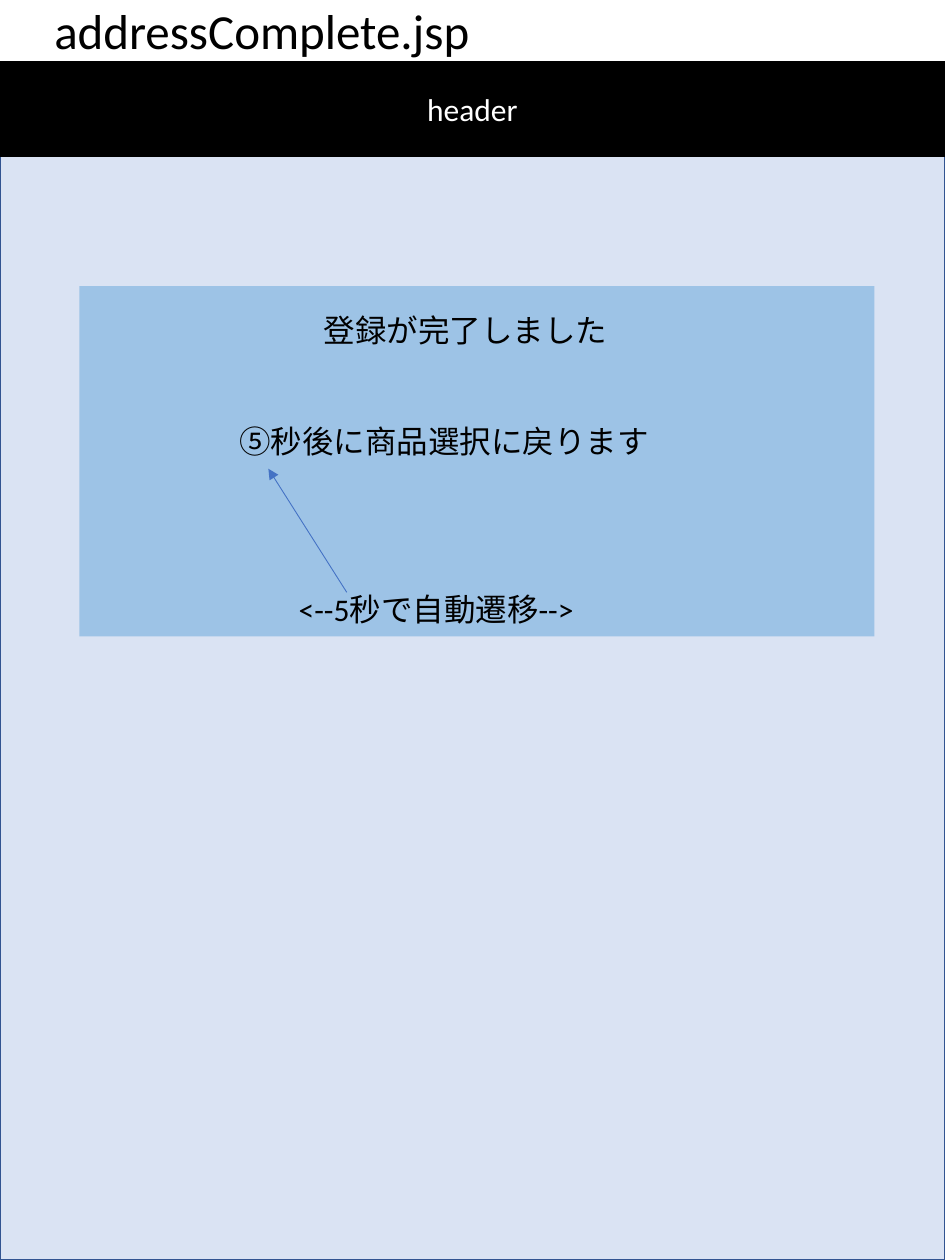
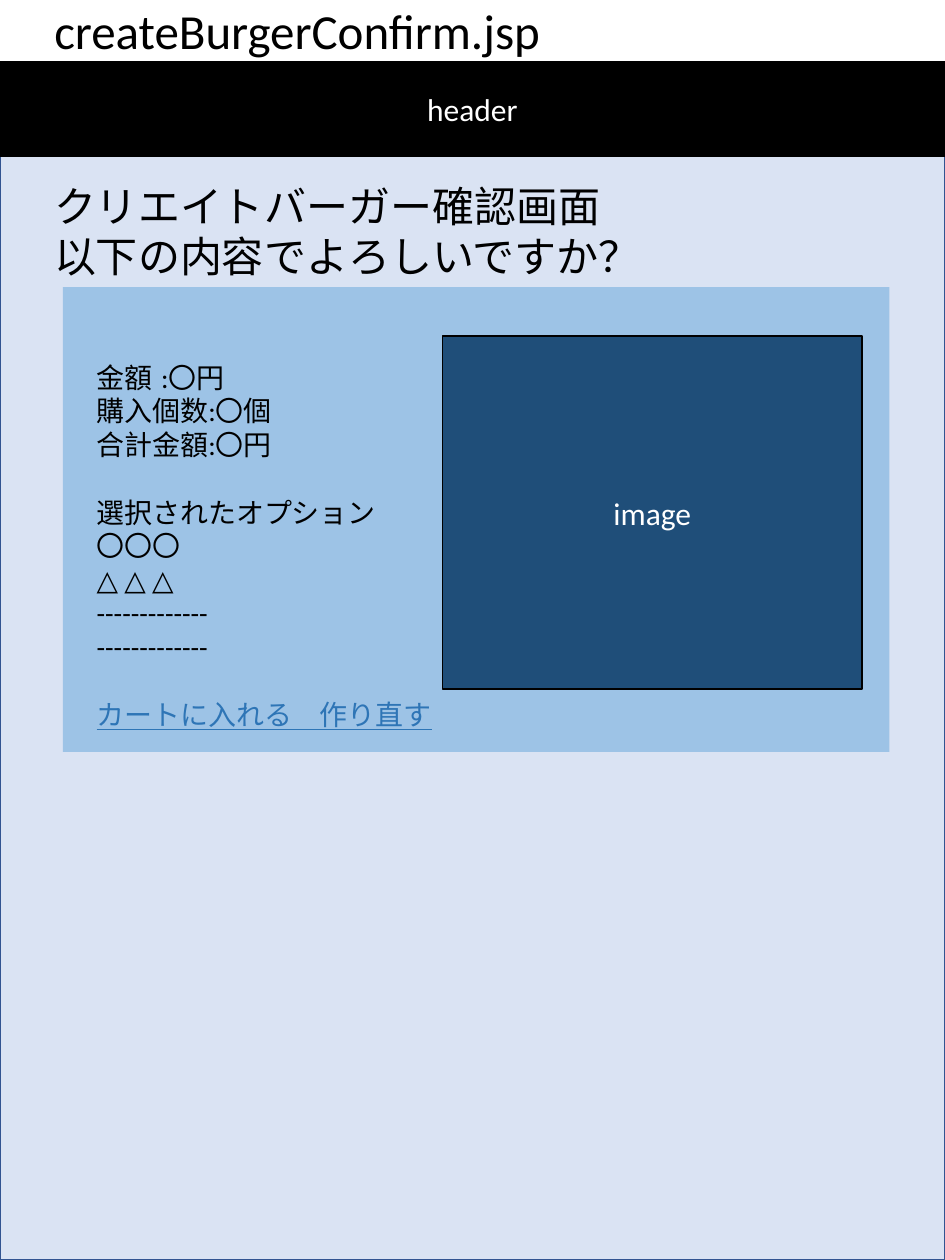
from lxml import etree
from pptx import Presentation
from pptx import util as u
from pptx.dml.color import RGBColor
from pptx.enum import shapes, text
from pptx.oxml import ns

FONT = "Calibri"
BLACK, WHITE = "000000", "FFFFFF"
PAGE_FILL, PAGE_LINE = "DAE3F3", "325491"
PANEL_FILL, IMAGE_FILL = "9DC3E6", "1F4E79"
ARROW, LINK = "4472C4", "2E75B6"
WIDTH, HEIGHT = 19.05, 25.4
MARGIN, TEXT_WIDTH = 0.84, 17.09
BLANK_LINE = 19.5


def colour(value):
    """Turn a hex string into a colour."""
    return RGBColor.from_string(value)


def style(frame, size, hue=BLACK, align=text.PP_ALIGN.LEFT):
    """Format every paragraph and run of a text frame."""
    for para in frame.paragraphs:
        para.alignment = align
        for span in para.runs:
            span.font.name = FONT
            span.font.size = u.Pt(size)
            span.font.color.rgb = colour(hue)


def add_rect(page, left, top, width, height, fill, line=None, label=None):
    """Add a filled rectangle with an optional outline and centred label."""
    box = page.shapes.add_shape(shapes.MSO_SHAPE.RECTANGLE,
                                u.Cm(left), u.Cm(top), u.Cm(width), u.Cm(height))
    box.shadow.inherit = False
    box.fill.solid()
    box.fill.fore_color.rgb = colour(fill)
    if line:
        box.line.color.rgb = colour(line)
        box.line.width = u.Pt(1)
    else:
        box.line.fill.background()
    if label:
        box.text_frame.text = label
        box.text_frame.vertical_anchor = text.MSO_ANCHOR.MIDDLE
        style(box.text_frame, 18, WHITE, text.PP_ALIGN.CENTER)
    return box


def add_text(page, left, top, width, height, words, size, align=text.PP_ALIGN.LEFT):
    """Add a wrapping text box and return its frame."""
    box = page.shapes.add_textbox(u.Cm(left), u.Cm(top), u.Cm(width), u.Cm(height))
    frame = box.text_frame
    frame.word_wrap = True
    frame.text = words
    style(frame, size, align=align)
    return frame


def add_arrow(page, start, end):
    """Draw a thin arrow between two points."""
    arrow = page.shapes.add_connector(shapes.MSO_CONNECTOR.STRAIGHT,
                                      *(u.Cm(value) for value in (*start, *end)))
    arrow.line.color.rgb = colour(ARROW)
    arrow.line.width = u.Pt(0.5)
    etree.SubElement(arrow.line._get_or_add_ln(), ns.qn("a:tailEnd"), type="triangle")
    etree.SubElement(arrow._element.spPr, ns.qn("a:effectLst"))


def add_screen(deck, name):
    """Add a page with its file name, background and header band."""
    page = deck.slides.add_slide(deck.slide_layouts[5])
    title = page.shapes.title
    title.left, title.top = u.Cm(MARGIN), u.Cm(0)
    title.width, title.height = u.Cm(TEXT_WIDTH), u.Cm(1.24)
    frame = title.text_frame
    frame.text = name
    frame.margin_top = 0
    frame.auto_size = text.MSO_AUTO_SIZE.NONE
    frame.vertical_anchor = text.MSO_ANCHOR.TOP
    style(frame, 28)
    add_rect(page, 0, 1.9, WIDTH, HEIGHT - 1.9, PAGE_FILL, PAGE_LINE)
    add_rect(page, 0, 1.24, WIDTH, 1.9, BLACK, BLACK, "header")
    return page


def add_completion(page, left, top, width, height):
    """Build the panel that confirms the registration."""
    add_rect(page, left, top, width, height, PANEL_FILL)
    add_text(page, MARGIN, top + 0.38, TEXT_WIDTH, 1.8,
             "登録が完了しました", 18, text.PP_ALIGN.CENTER)
    add_text(page, left + 2.97, top + 2.61, 12.85, 1.02, "⑤秒後に商品選択に戻ります", 18)
    add_arrow(page, (left + 5.39, top + 6.17), (left + 3.81, top + 3.68))
    add_text(page, left + 4.17, top + 5.99, 12.85, 1.02, "<--5秒で自動遷移-->", 18)


def add_order(page, left, top, width, height):
    """Build the panel with the order details and the burger image."""
    groups = [
        ["金額\t:〇円", "購入個数:〇個", "合計金額:〇円"],
        ["選択されたオプション", "〇〇〇", "△ △ △", "-------------", "-------------"],
        ["カートに入れる　作り直す"],
    ]
    add_rect(page, left, top, width, height, PANEL_FILL)
    add_rect(page, left + 7.65, top + 0.99, 8.46, 7.11, IMAGE_FILL, BLACK, "image")
    frame = add_text(page, left + 0.43, top + 1.35, 8.74, 8.03,
                     "\n".join(line for group in groups for line in group), 16)
    paras = frame.paragraphs
    tabs = etree.SubElement(paras[0]._p.get_or_add_pPr(), ns.qn("a:tabLst"))
    etree.SubElement(tabs, ns.qn("a:tab"), pos=str(u.Cm(1.3)), algn="l")
    first = 0
    for group in groups[:-1]:
        first += len(group)
        paras[first].space_before = u.Pt(BLANK_LINE)
    link = paras[-1].runs[0].font
    link.color.rgb = colour(LINK)
    link.underline = True


def main():
    """Build and save the deck."""
    deck = Presentation()
    deck.slide_width, deck.slide_height = u.Cm(WIDTH), u.Cm(HEIGHT)

    page = add_screen(deck, "addressComplete.jsp")
    add_completion(page, 1.6, 5.77, 16.03, 7.06)

    page = add_screen(deck, "createBurgerConfirm.jsp")
    add_order(page, 1.27, 5.79, 16.66, 9.37)
    add_text(page, MARGIN, 3.51, 13.82, 2.31,
             "クリエイトバーガー確認画面\n以下の内容でよろしいですか？", 24)

    deck.save("out.pptx")


if __name__ == "__main__":
    main()
